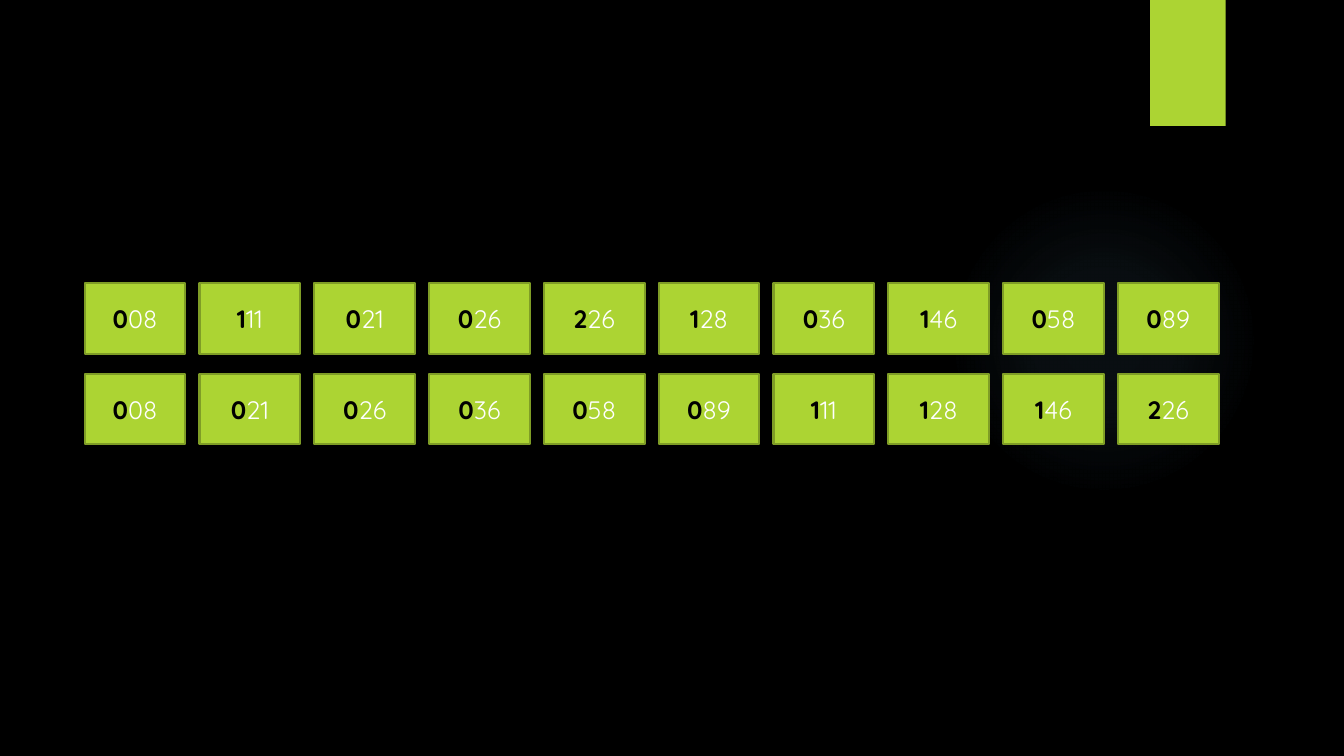
from lxml import etree
from pptx import Presentation
from pptx.dml.color import RGBColor
from pptx.enum.shapes import MSO_SHAPE as Preset
from pptx.enum.text import MSO_ANCHOR as Anchor, PP_ALIGN as Align
from pptx.oxml import parse_xml
from pptx.oxml.ns import nsdecls, qn
from pptx.util import Pt


def color(code):
    return RGBColor.from_string(code)


def add_plain_shape(preset, left, top, width, height, fill):
    shape = page.shapes.add_shape(preset, Pt(left), Pt(top), Pt(width), Pt(height))
    shape.shadow.inherit = False
    shape.fill.solid()
    shape.fill.fore_color.rgb = color(fill)
    shape.line.fill.background()
    return shape


BLACK, WHITE, LIME, OLIVE, SKY = "000000", "FFFFFF", "ACD433", "7F9D26", "7AC4F0"

deck = Presentation()
deck.slide_width, deck.slide_height = Pt(960), Pt(540)
page = deck.slides.add_slide(deck.slide_layouts[6])
page.background.fill.solid()
page.background.fill.fore_color.rgb = color(BLACK)

glow = add_plain_shape(Preset.OVAL, 677.5, 131.8, 221.8, 221.8, SKY)
gradient = parse_xml(
    f'<a:gradFill {nsdecls("a")}><a:gsLst/><a:path path="circle">'
    '<a:fillToRect l="50000" t="50000" r="50000" b="50000"/></a:path></a:gradFill>'
)
for position, opacity in ((0, 7), (36, 6), (69, 0)):
    stop = etree.SubElement(gradient[0], qn("a:gs"), pos=str(position * 1000))
    tint = etree.SubElement(stop, qn("a:srgbClr"), val=SKY)
    etree.SubElement(tint, qn("a:alpha"), val=str(opacity * 1000))
properties = glow.element.spPr
properties.replace(properties.find(qn("a:solidFill")), gradient)

add_plain_shape(Preset.RECTANGLE, 821.5, 0, 54, 90, LIME)

numbers = ["008", "111", "021", "026", "226", "128", "036", "146", "058", "089"]
for row, series in enumerate((numbers, sorted(numbers))):
    for column, number in enumerate(series):
        box = add_plain_shape(
            Preset.RECTANGLE, 60.5 + 82 * column, 202.2 + 64.9 * row, 72, 50.4, LIME
        )
        box.line.color.rgb = color(OLIVE)
        box.line.width = Pt(1.5)
        box.text_frame.vertical_anchor = Anchor.MIDDLE
        para = box.text_frame.paragraphs[0]
        para.alignment = Align.CENTER
        para.font.name = "Quicksand"
        para.font.size = Pt(18)
        for digits, ink, bold in ((number[0], BLACK, True), (number[1:], WHITE, False)):
            span = para.add_run()
            span.text = digits
            span.font.color.rgb = color(ink)
            span.font.bold = bold

deck.save("out.pptx")
